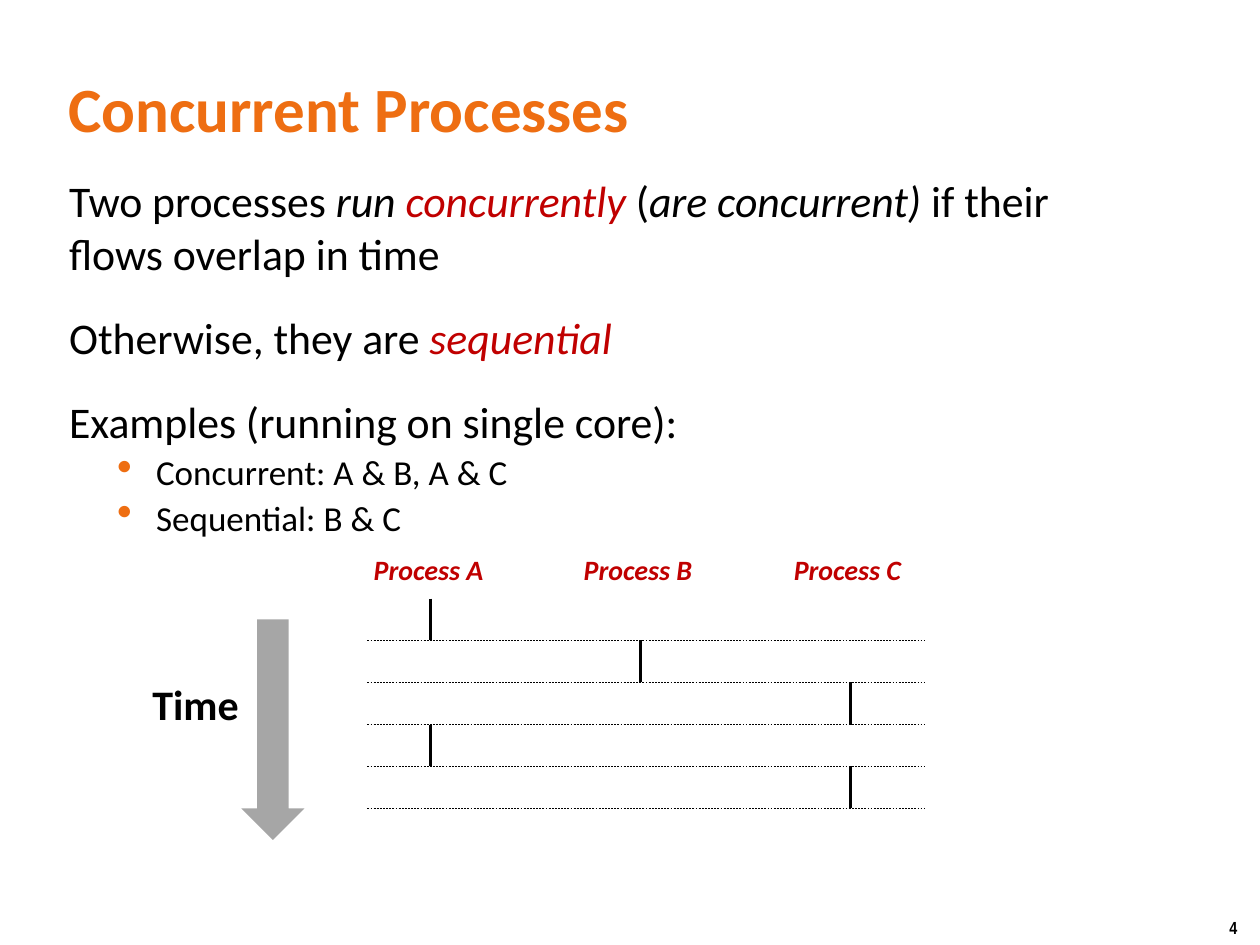
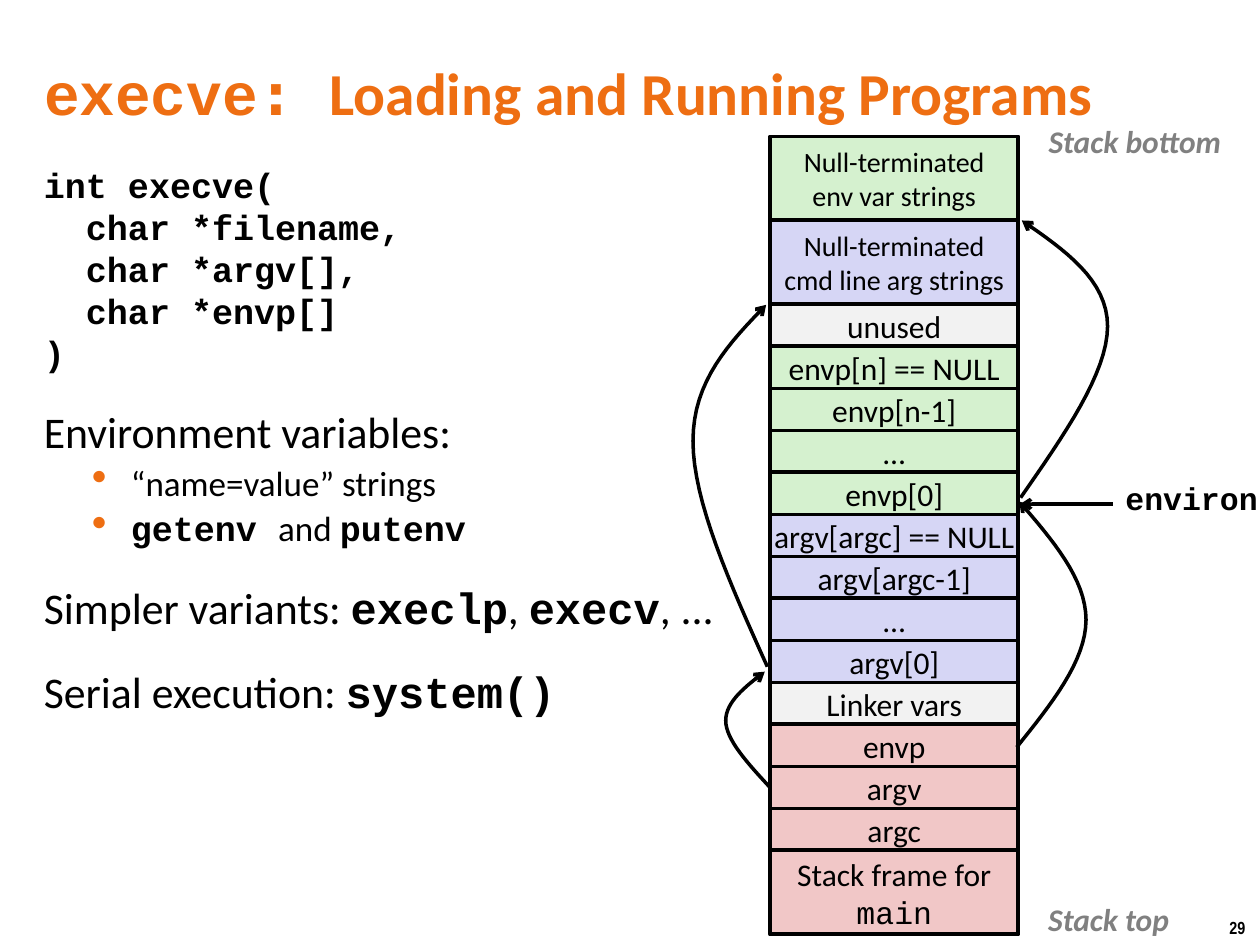
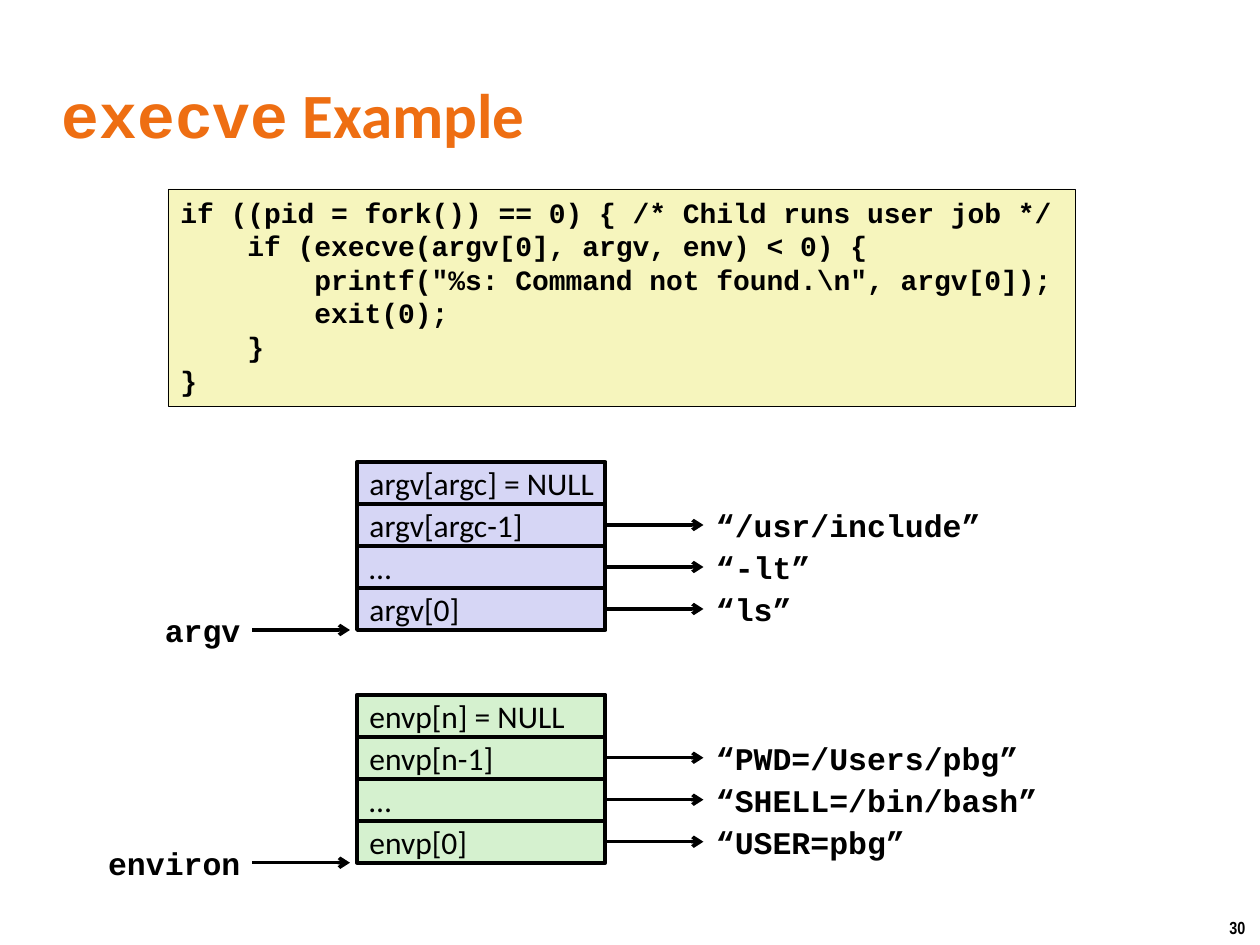
from collections import namedtuple

from lxml import etree
from pptx import Presentation
from pptx.dml.color import RGBColor
from pptx.enum import dml, shapes, text
from pptx.oxml.ns import qn
from pptx.util import Pt

COLORS = {
    "black": "000000", "orange": "EE6E12", "red": "C00000", "grey": "808080",
    "arrow": "A6A6A6", "green": "D5F1CF", "violet": "D6D6F5",
    "light": "F2F2F2", "pink": "F1C7C7", "code": "F6F5BD",
}
CODE_FONT = "Courier New"
LEFT, CENTER, RIGHT = text.PP_ALIGN.LEFT, text.PP_ALIGN.CENTER, text.PP_ALIGN.RIGHT
TOP, MIDDLE = text.MSO_ANCHOR.TOP, text.MSO_ANCHOR.MIDDLE
ROW = 24  # height of one stack cell or time slot

# Shared text styles
BASE = {"name": "Calibri", "size": Pt(18), "bold": False, "italic": False, "color": "black"}
TITLE = BASE | {"size": Pt(36), "bold": True, "color": "orange"}
BODY = BASE | {"size": Pt(25)}
BULLET = BASE | {"size": Pt(20)}
CODE_LABEL = BASE | {"name": CODE_FONT, "bold": True}
PROCESS_LABEL = BASE | {"size": Pt(16), "bold": True, "italic": True, "color": "red"}
STACK_LABEL = BASE | {"bold": True, "italic": True, "color": "grey"}
PAGE_NUMBER = BASE | {"name": "Arial Narrow", "size": Pt(10), "bold": True}

# Changes for single runs
MONO = {"name": CODE_FONT}
CODE = MONO | {"bold": True}
ITALIC = {"italic": True}
TERM = {"italic": True, "color": "red"}

Box = namedtuple("Box", "left top width height")


def lengths(box):
    return [Pt(value) for value in box]


def rgb(name):
    return RGBColor.from_string(COLORS[name])


# Text helpers
def set_format(target, values):
    for name, value in values.items():
        if name == "color":
            target.color.rgb = rgb(value)
        else:
            setattr(target, name, value)


def write_runs(paragraph, runs, style):
    """Runs are one string or a list of strings and (string, changes) pairs."""
    for run_spec in [runs] if isinstance(runs, str) else runs:
        words, changes = (run_spec, {}) if isinstance(run_spec, str) else run_spec
        for index, line in enumerate(words.split("\n")):
            if index:
                paragraph.add_line_break()
            run = paragraph.add_run()
            run.text = line
            set_format(run.font, style | changes)


def add_bullet(paragraph):
    properties = paragraph._p.get_or_add_pPr()
    properties.set("marL", str(Pt(49.7)))
    properties.set("indent", str(Pt(-22.3)))
    color = etree.SubElement(properties, qn("a:buClr"))
    etree.SubElement(color, qn("a:srgbClr"), val=COLORS["orange"])
    etree.SubElement(properties, qn("a:buSzPct"), val="125000")
    etree.SubElement(properties, qn("a:buChar"), char="•")


def fill_frame(frame, paragraphs, style, align=LEFT, anchor=TOP, wrap=False):
    set_format(frame, {"word_wrap": wrap, "vertical_anchor": anchor,
                       "auto_size": text.MSO_AUTO_SIZE.NONE})
    for index, runs in enumerate(paragraphs):
        paragraph = frame.add_paragraph() if index else frame.paragraphs[0]
        paragraph.alignment = align
        write_runs(paragraph, runs, style)


def add_label(slide, box, words, style, align=LEFT):
    label = slide.shapes.add_textbox(*lengths(box))
    fill_frame(label.text_frame, [words], style, align)


def add_body(slide, box, items):
    """Items are (is_bullet, runs) pairs."""
    frame = slide.shapes.add_textbox(*lengths(box)).text_frame
    frame.word_wrap = True
    for index, (is_bullet, runs) in enumerate(items):
        paragraph = frame.add_paragraph() if index else frame.paragraphs[0]
        if is_bullet:
            add_bullet(paragraph)
        if index:
            paragraph.space_before = Pt(2 if is_bullet else 18)
        write_runs(paragraph, runs, BULLET if is_bullet else BODY)


# Shape helpers
def add_block(slide, box, fill, line_width=0, kind=shapes.MSO_SHAPE.RECTANGLE):
    block = slide.shapes.add_shape(kind, *lengths(box))
    block.shadow.inherit = False
    block.fill.solid()
    block.fill.fore_color.rgb = rgb(fill)
    if line_width:
        set_format(block.line, {"color": "black", "width": Pt(line_width)})
    else:
        block.line.fill.background()
    return block


def add_arrowhead(shape):
    line = shape.element.spPr.find(qn("a:ln"))
    etree.SubElement(line, qn("a:tailEnd"), type="arrow")


def add_line(slide, start, end, width=2, arrow=False, dash=None):
    line = slide.shapes.add_connector(
        shapes.MSO_CONNECTOR.STRAIGHT, *lengths(start + end))
    set_format(line.line, {"color": "black", "width": Pt(width), "dash_style": dash})
    if arrow:
        add_arrowhead(line)
    etree.SubElement(line.element.spPr, qn("a:effectLst"))


def bezier(points, steps=16):
    for step in range(1, steps + 1):
        t = step / steps
        weights = ((1 - t) ** 3, 3 * t * (1 - t) ** 2, 3 * t ** 2 * (1 - t), t ** 3)
        yield tuple(Pt(sum(w * point[axis] for w, point in zip(weights, points)))
                    for axis in (0, 1))


def add_curved_arrow(slide, box, start, belly, end, reach):
    """Draw a bow from start to end that is upright at its belly."""
    start, belly, end = [(box.left + x, box.top + y) for x, y in (start, belly, end)]
    lower, upper = (belly[0], belly[1] + reach), (belly[0], belly[1] - reach)

    def middle(a, b):
        return (a[0] + b[0]) / 2, (a[1] + b[1]) / 2

    vertices = [*bezier((start, middle(start, lower), lower, belly)),
                *bezier((belly, upper, middle(upper, end), end))]
    builder = slide.shapes.build_freeform(*lengths(start))
    builder.add_line_segments(vertices, close=False)
    curve = builder.convert_to_shape()
    curve.shadow.inherit = False
    curve.fill.background()
    set_format(curve.line, {"color": "black", "width": Pt(2)})
    add_arrowhead(curve)


def add_cells(slide, box, cells, align):
    """Stack cells of (lines, fill, style) downwards, one or two rows high."""
    top = box.top
    for lines, fill, style in cells:
        height = ROW * len(lines)
        cell = add_block(slide, Box(box.left, top, box.width, height), fill, 2.25)
        fill_frame(cell.text_frame, lines, style, align, MIDDLE)
        top += height


# Frame of every slide
def add_titled_slide(presentation, box, title, number, style=TITLE):
    slide = presentation.slides.add_slide(presentation.slide_layouts[5])
    placeholder = slide.shapes.title
    for name, value in zip(Box._fields, lengths(box)):
        setattr(placeholder, name, value)
    fill_frame(placeholder.text_frame, [title], style, anchor=MIDDLE, wrap=True)
    add_label(slide, Box(695.5, 520.5, 24.5, 19.5), number, PAGE_NUMBER)
    return slide


# Concurrent processes
def add_timeline(slide, box):
    columns = [box.left + 36 + 120 * index for index in range(3)]
    for name, x in zip("ABC", columns):
        add_label(slide, Box(x - 39.5, box.top, 78, 26.5), f"Process {name}", PROCESS_LABEL)
    for slot, running in enumerate("ABCAC"):
        x, y = columns["ABC".index(running)], box.top + 30 + ROW * slot
        add_line(slide, (x, y), (x, y + ROW))
        add_line(slide, (box.left, y + ROW), (box.left + box.width, y + ROW),
                 0.25, dash=dml.MSO_LINE.DASH)


def add_time_arrow(slide, box):
    add_label(slide, Box(box.left, box.top + 30, 64, 36), "Time",
              BASE | {"size": Pt(24), "bold": True})
    add_block(slide, Box(box.left + box.width - 36, box.top, 36, box.height), "arrow",
              kind=shapes.MSO_SHAPE.DOWN_ARROW)


def build_concurrent(presentation):
    slide = add_titled_slide(presentation, Box(32, 39, 478, 45), "Concurrent Processes", "4")
    add_body(slide, Box(32.4, 96, 622, 204), [
        (False, ["Two processes ", ("run ", ITALIC), ("concurrently", TERM), " (",
                 ("are concurrent)", ITALIC), " if their flows overlap in time"]),
        (False, ["Otherwise, they are ", ("sequential", TERM)]),
        (False, "Examples (running on single core):"),
        (True, "Concurrent: A & B, A & C"),
        (True, "Sequential: B & C"),
    ])
    add_timeline(slide, Box(210, 312, 318, 150))
    add_time_arrow(slide, Box(80, 354, 94, 126))


# Loading and running programs
def add_stack(slide, box):
    small = BASE | {"size": Pt(16)}
    groups = [
        ("light", ["unused"]),
        ("green", ["envp[n] == NULL", "envp[n-1]", "…", "envp[0]"]),
        ("violet", ["argv[argc] == NULL", "argv[argc-1]", "…", "argv[0]"]),
        ("light", ["Linker vars"]),
        ("pink", ["envp", "argv", "argc"]),
    ]
    cells = [
        (["Null-terminated", "env var strings"], "green", small),
        (["Null-terminated", "cmd line arg strings"], "violet", small),
        *[([name], fill, BASE) for fill, names in groups for name in names],
        (["Stack frame for", [("main", MONO)]], "pink", BASE),
    ]
    add_cells(slide, box, cells, CENTER)

    # Pointers between cells: start, belly, end, reach
    for pointer in [
        ((0, 372), (-25.3, 333.8), (-3, 305.8), 10.8),
        ((-1.5, 303), (-44, 174), (-2.2, 96.2), 34.5),
        ((141, 349), (180.6, 276.2), (142.5, 208.6), 23.4),
        ((143.2, 206.4), (192.9, 108.5), (143.9, 48), 26.6),
    ]:
        add_curved_arrow(slide, box, *pointer)

    # Labels beside the stack
    right = box.left + box.width
    add_label(slide, Box(right + 7, box.top - 12, 119, 29), "Stack bottom", STACK_LABEL, CENTER)
    add_label(slide, Box(right + 7, box.top + 433, 89, 29), "Stack top", STACK_LABEL, CENTER)
    add_label(slide, Box(right + 54, box.top + 192, 91, 29), "environ", CODE_LABEL)
    add_line(slide, (right + 54, box.top + 210), (right + 1, box.top + 210), arrow=True)


def build_loading(presentation):
    slide = add_titled_slide(
        presentation, Box(18, 30, 678, 45),
        [("execve", MONO), (": ", {"name": "DejaVu Sans Mono"}), "Loading and Running Programs"],
        "29", TITLE | {"size": Pt(34)})
    add_body(slide, Box(18, 90, 420, 426), [
        (False, [("int execve(\n  char *filename,\n  char *argv[],\n  char *envp[]\n)",
                  CODE | {"size": Pt(20)})]),
        (False, "Environment variables:"),
        (True, "“name=value” strings"),
        (True, [("getenv ", CODE), "and ", ("putenv", CODE)]),
        (False, ["Simpler variants: ", ("execlp", CODE), ", ", ("execv", CODE), ", ..."]),
        (False, ["Serial execution: ", ("system()", CODE)]),
    ])
    add_stack(slide, Box(440, 78, 142, 456))


# Example call
def add_code(slide, box, lines):
    panel = add_block(slide, box, "code", 0.25)
    fill_frame(panel.text_frame, lines, CODE_LABEL | {"size": Pt(16)})


def add_vector(slide, box, fill, pointer, cells, strings):
    """Draw an array with its pointer and the strings its entries refer to."""
    add_cells(slide, box, [([cell], fill, BASE) for cell in cells], LEFT)
    right, bottom = box.left + box.width, box.top + box.height
    for index, string in enumerate(strings, start=1):
        y = box.top + ROW * (index + 0.5)
        add_line(slide, (right, y), (right + 56, y), arrow=True)
        add_label(slide, Box(right + 56, y - 14.5, 200, 29), string, CODE_LABEL)
    add_label(slide, Box(box.left - 150.5, bottom - 14.5, 91, 29), pointer, CODE_LABEL, RIGHT)
    add_line(slide, (box.left - 60, bottom), (box.left - 4, bottom), arrow=True)


def build_example(presentation):
    slide = add_titled_slide(presentation, Box(28, 34.5, 598, 60),
                             [("execve", MONO), " Example"], "30")
    add_vector(slide, Box(204, 397, 142, 4 * ROW), "green", "environ",
               ["envp[n] = NULL", "envp[n-1]", "…", "envp[0]"],
               ["“PWD=/Users/pbg”", "“SHELL=/bin/bash”", "“USER=pbg”"])
    add_vector(slide, Box(204, 264, 142, 4 * ROW), "violet", "argv",
               ["argv[argc] = NULL", "argv[argc-1]", "…", "argv[0]"],
               ["“/usr/include”", "“-lt”", "“ls”"])
    add_code(slide, Box(96, 108, 518.5, 124), [
        "if ((pid = fork()) == 0) { /* Child runs user job */",
        "    if (execve(argv[0], argv, env) < 0) {",
        "        printf(\"%s: Command not found.\\n\", argv[0]);",
        "        exit(0);",
        "    }",
        "}",
    ])


def main():
    presentation = Presentation()
    presentation.slide_width, presentation.slide_height = Pt(720), Pt(540)
    build_concurrent(presentation)
    build_loading(presentation)
    build_example(presentation)
    presentation.save("out.pptx")


if __name__ == "__main__":
    main()
